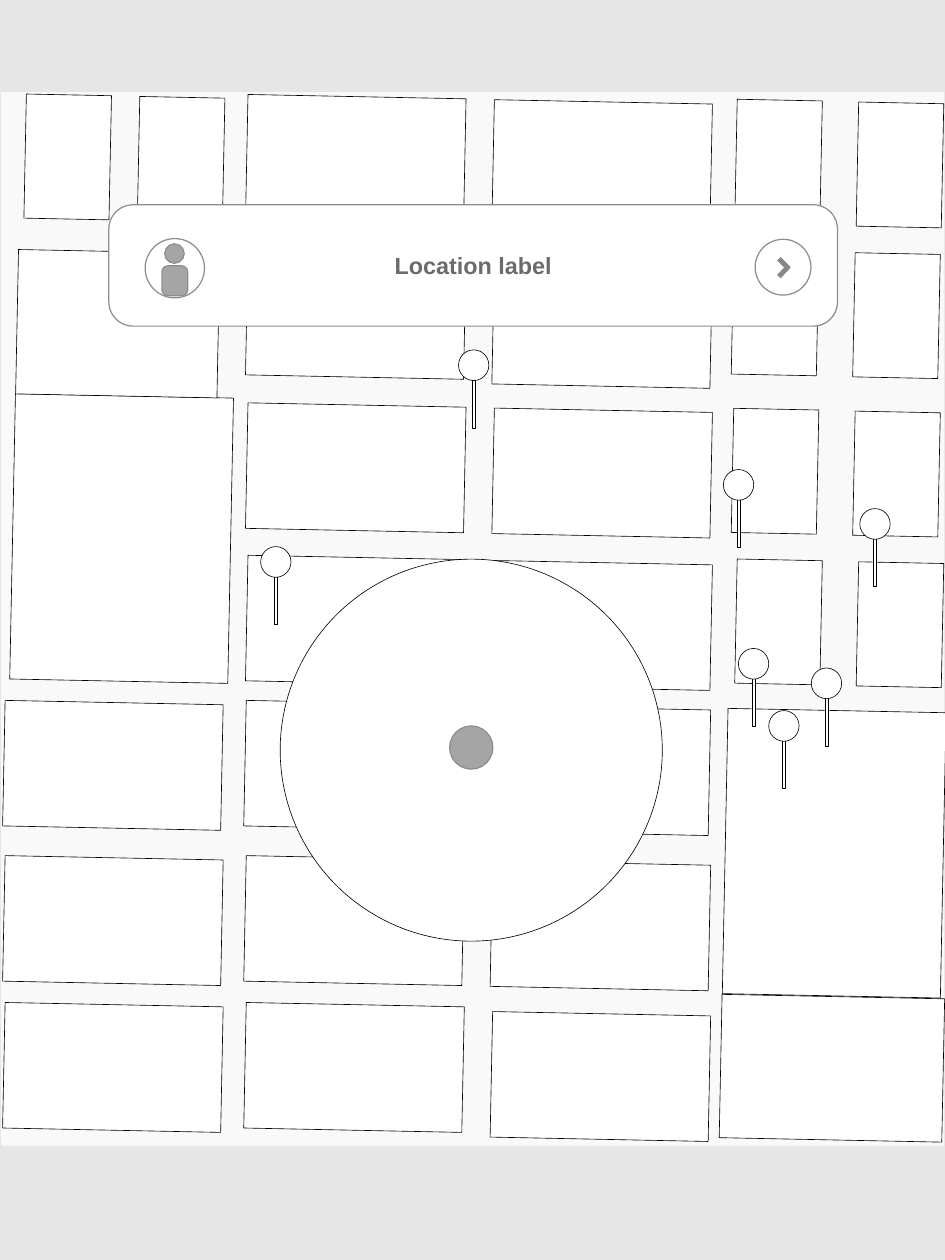
from lxml import etree
from pptx import Presentation
from pptx.dml.color import RGBColor
from pptx.enum.shapes import MSO_CONNECTOR as CONN, MSO_SHAPE as SHP
from pptx.enum.text import MSO_ANCHOR as ANCHOR, PP_ALIGN as ALIGN
from pptx.oxml.ns import qn
from pptx.util import Cm, Pt

BLACK, GREY, WHITE = "000000", "8D8D8D", "FFFFFF"
DOT_FILL = "A5A5A5"
TILT = 1.15
WIDE, NARROW, TALL = (6.25, 3.6), (2.44, 3.56), (6.25, 8.18)

UPPER_ROWS = {
    7.04: (0.13, 4.57, 8.97, 13.34),
    14.1: (0.28, 4.83, 9.12, 13.49),
}
LOWER_ROWS = {
    0.08: (17.5, 21.95, 26.16),
    6.99: (17.5, 21.95, 26.16),
    14.05: (17.65, 22.1, 26.42),
}
NARROW_PAIRS = [(21.06, 0.23), (20.96, 4.55), (20.96, 9.09), (21.06, 13.41)]
PAIR_STEP = (3.48, 0.08)
SINGLE_BLOCKS = [
    (0.33, 8.71, *TALL),
    (0.46, 4.57, 5.77, 4.14),
    (3.94, 0.15, *NARROW),
    (0.69, 0.08, *NARROW),
    (20.75, 17.73, *TALL),
    (20.62, 25.93, 6.38, 4.11),
]
PINS = [(13.11, 7.39), (7.44, 13.03), (22, 17.73), (23.22, 16.51),
        (21.13, 15.95), (24.61, 11.94), (20.7, 10.82)]


def rgb(value):
    return RGBColor.from_string(value)


def set_attrs(obj, values):
    for name, value in values.items():
        setattr(obj, name, value)


def add_shape(s, kind, x, y, w, h, fill=WHITE, line=BLACK, weight=0.5):
    sp = s.shapes.add_shape(kind, Cm(x), Cm(y), Cm(w), Cm(h))
    sp.shadow.inherit = False
    sp.fill.solid()
    sp.fill.fore_color.rgb = rgb(fill)
    if line:
        sp.line.color.rgb = rgb(line)
        sp.line.width = Pt(weight)
    else:
        sp.line.fill.background()
    return sp


def add_stroke(s, x1, y1, x2, y2, color, weight):
    cn = s.shapes.add_connector(CONN.STRAIGHT, Cm(x1), Cm(y1), Cm(x2), Cm(y2))
    cn.line.color.rgb = rgb(color)
    cn.line.width = Pt(weight)
    etree.SubElement(cn._element.spPr, qn("a:effectLst"))


def city_blocks():
    wide = [(x, y, *WIDE) for rows in (UPPER_ROWS, LOWER_ROWS)
            for x, tops in rows.items() for y in tops]
    dx, dy = PAIR_STEP
    narrow = [(x + i * dx, y + i * dy, *NARROW)
              for x, y in NARROW_PAIRS for i in range(2)]
    return SINGLE_BLOCKS + wide + narrow


def draw_map(s, x, y, w, h):
    add_shape(s, SHP.RECTANGLE, x, y, w, h, "F9F9F9", None)
    for bx, by, bw, bh in city_blocks():
        sp = add_shape(s, SHP.RECTANGLE, x + bx, y + by, bw, bh)
        sp.rotation = TILT


def draw_range(s, x, y, size):
    dot = 1.24
    add_shape(s, SHP.OVAL, x, y, size, size)
    add_shape(s, SHP.OVAL, x + (size - dot) / 2, y + 4.78, dot, dot,
              DOT_FILL, GREY, 1)


def draw_pin(s, x, y):
    add_shape(s, SHP.RECTANGLE, x + 0.39, y + 0.79, 0.09, 1.45)
    add_shape(s, SHP.OVAL, x, y, 0.87, 0.88)


def draw_card(s, x, y, w, h):
    outline = {"line": GREY, "weight": 1}
    sp = add_shape(s, SHP.ROUNDED_RECTANGLE, x, y, w, h, **outline)
    sp.adjustments[0] = 0.2
    tf = sp.text_frame
    set_attrs(tf, {"margin_left": 0, "margin_right": 0, "margin_top": 0,
                   "margin_bottom": 0, "word_wrap": True,
                   "vertical_anchor": ANCHOR.MIDDLE})
    p = tf.paragraphs[0]
    p.alignment = ALIGN.CENTER
    r = p.add_run()
    r.text = "Location label"
    set_attrs(r.font, {"name": "Arial", "size": Pt(19), "bold": True})
    r.font.color.rgb = rgb("6B6B6B")

    add_shape(s, SHP.OVAL, x + 1.04, y + 0.97, 1.7, 1.7, **outline)
    add_shape(s, SHP.OVAL, x + 1.6, y + 1.12, 0.56, 0.56, DOT_FILL, **outline)
    body = add_shape(s, SHP.ROUNDED_RECTANGLE, x + 1.52, y + 1.75, 0.74, 0.86,
                     DOT_FILL, **outline)
    body.adjustments[0] = 0.23

    add_shape(s, SHP.OVAL, x + 18.52, y + 0.99, 1.6, 1.6, **outline)
    for start, end in ((1.55, 1.83), (2.06, 1.76)):
        add_stroke(s, x + 19.2, y + start, x + 19.48, y + end, "86898A", 4)


def main():
    prs = Presentation()
    set_attrs(prs, {"slide_width": Cm(27.08), "slide_height": Cm(36.12)})
    s = prs.slides.add_slide(prs.slide_layouts[6])
    s.background.fill.solid()
    s.background.fill.fore_color.rgb = rgb("E6E6E6")

    left, top = 0.03, 2.64
    draw_map(s, left, top, 27.03, 30.2)
    draw_range(s, left + 8, top + 13.39, 10.95)
    for x, y in PINS:
        draw_pin(s, left + x, top + y)
    draw_card(s, 3.12, 5.87, 20.88, 3.48)
    prs.save("out.pptx")


if __name__ == "__main__":
    main()
